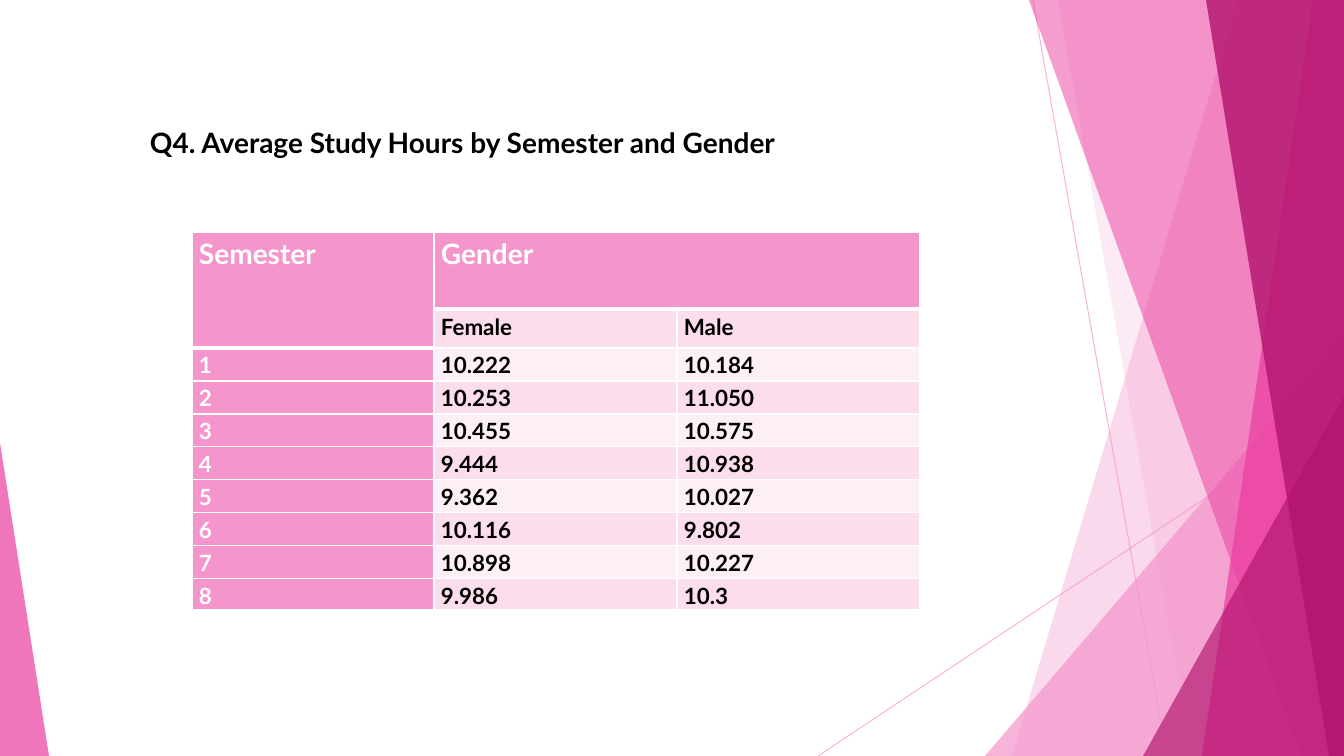
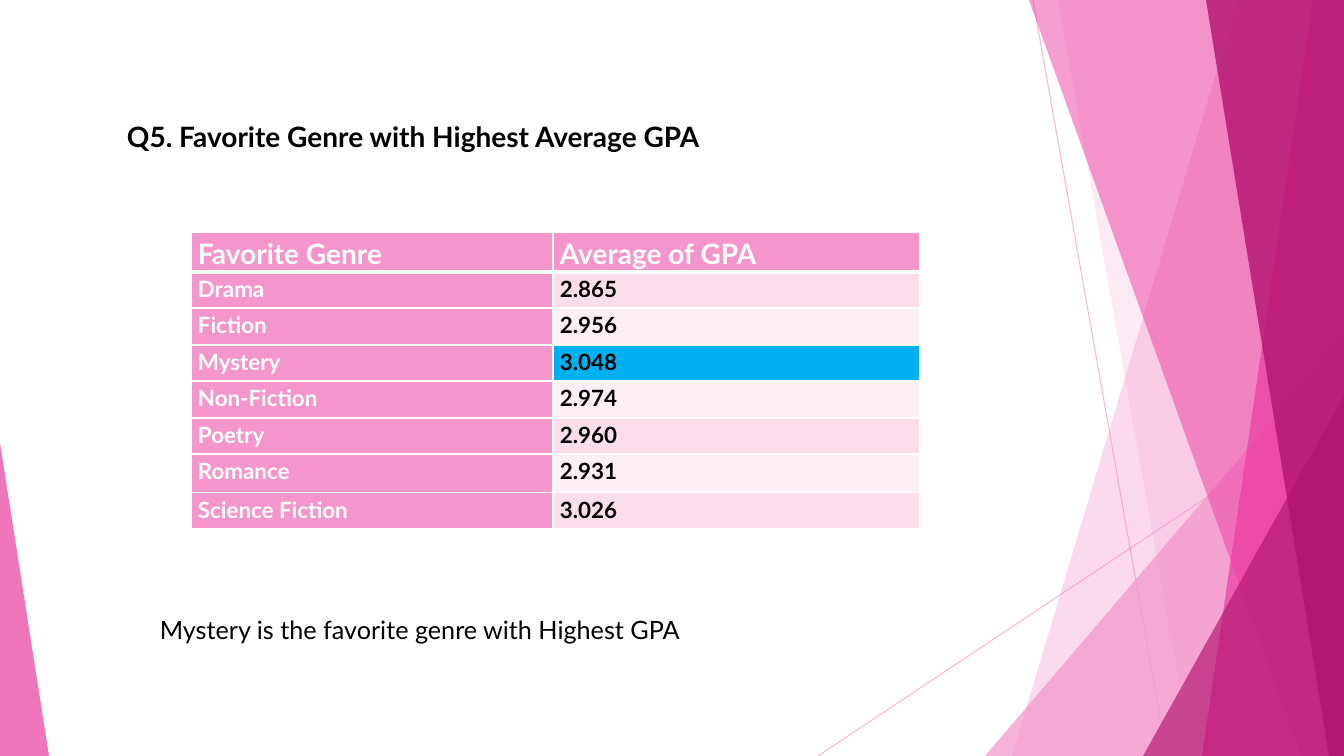
from lxml import etree
from pptx import Presentation, oxml, util as u
from pptx.dml.color import RGBColor
from pptx.enum import shapes, text
from pptx.oxml import ns

WIDTH, HEIGHT = 1344, 756
PX = u.Inches(40 / 3) / WIDTH
FONT = "Lato"
BLACK = RGBColor(0x00, 0x00, 0x00)
WHITE = RGBColor(0xFF, 0xFF, 0xFF)
PINK = RGBColor(0xF4, 0x96, 0xCB)
ROSE = RGBColor(0xEB, 0x3D, 0x9F)
MAGENTA = RGBColor(0xB2, 0x13, 0x6D)
BAND_DARK = RGBColor(0xFB, 0xDD, 0xEC)
BAND_LIGHT = RGBColor(0xFD, 0xEF, 0xF6)
BLUE = RGBColor(0x00, 0xB0, 0xF0)

RAYS = [((1033, 0), (1167, HEIGHT)), ((WIDTH, 406), (818, HEIGHT))]
FACETS = [
    ("band", (1238, 1012), PINK, 36),
    ("band", (1058, 1192), PINK, 20),
    ("triangle", (985, 336, 359, 420, 1), PINK, 72),
    ("band", (1029, 1301), ROSE, 50),
    ("band", (1313, 1202), ROSE, 70),
    ("band", (1206, 1329), MAGENTA, 80),
    ("triangle", (1143, 396, 201, 360, 1), MAGENTA, 66),
    ("triangle", (0, 443, 49, 313, 0), ROSE, 70),
]

SLIDES = [
    {
        "title": ("Q4. Average Study Hours by Semester and Gender", (140, 121, 767, 44)),
        "left": 192,
        "columns": [242, 243, 243],
        "heights": [77, 39] + [33] * 7 + [30],
        "rows": [
            ("Semester", "Gender", ""),
            ("", "Female", "Male"),
            ("1", "10.222", "10.184"),
            ("2", "10.253", "11.050"),
            ("3", "10.455", "10.575"),
            ("4", "9.444", "10.938"),
            ("5", "9.362", "10.027"),
            ("6", "10.116", "9.802"),
            ("7", "10.898", "10.227"),
            ("8", "9.986", "10.3"),
        ],
        "merges": [((0, 0), (1, 0)), ((0, 1), (0, 2))],
        "highlight": None,
        "note": None,
    },
    {
        "title": ("Q5. Favorite Genre with Highest Average GPA", (117, 115, 848, 44)),
        "left": 191,
        "columns": [362, 367],
        "heights": [40, 36, 37, 36, 37, 36, 39, 36],
        "rows": [
            ("Favorite Genre", "Average of GPA"),
            ("Drama", "2.865"),
            ("Fiction", "2.956"),
            ("Mystery", "3.048"),
            ("Non-Fiction", "2.974"),
            ("Poetry", "2.960"),
            ("Romance", "2.931"),
            ("Science Fiction", "3.026"),
        ],
        "merges": [],
        "highlight": (3, 1),
        "note": ("Mystery is the favorite genre with Highest GPA", (150, 609, 753, 40)),
    },
]


def write(frame, wording, size=20, color=BLACK, bold=True, spacing=1.0):
    paragraph = frame.paragraphs[0]
    paragraph.line_spacing = spacing
    run = paragraph.add_run()
    run.text = wording
    run.font.name = FONT
    run.font.size = u.Pt(size)
    run.font.bold = bold
    run.font.color.rgb = color


def set_opacity(shape, percent):
    for tint in shape.element.iter(ns.qn("a:srgbClr")):
        etree.SubElement(tint, ns.qn("a:alpha"), val=str(percent * 1000))


presentation = Presentation()
presentation.slide_width = round(WIDTH * PX)
presentation.slide_height = round(HEIGHT * PX)

for content in SLIDES:
    slide = presentation.slides.add_slide(presentation.slide_layouts[6])

    for start, end in RAYS:
        ray = slide.shapes.add_connector(
            shapes.MSO_CONNECTOR.STRAIGHT, *[round(value * PX) for value in start + end]
        )
        ray.line.color.rgb = PINK
        ray.line.width = u.Pt(0.75)
        etree.SubElement(ray.element.spPr, ns.qn("a:effectLst"))
        set_opacity(ray, 70)

    for kind, geometry, color, opacity in FACETS:
        if kind == "band":
            top_x, bottom_x = geometry
            builder = slide.shapes.build_freeform(top_x, 0, scale=PX)
            builder.add_line_segments([(WIDTH, 0), (WIDTH, HEIGHT), (bottom_x, HEIGHT)])
            facet = builder.convert_to_shape()
        else:
            *box, apex = geometry
            facet = slide.shapes.add_shape(
                shapes.MSO_SHAPE.ISOSCELES_TRIANGLE, *[round(value * PX) for value in box]
            )
            facet.adjustments[0] = apex
        facet.shadow.inherit = False
        facet.fill.solid()
        facet.fill.fore_color.rgb = color
        facet.line.fill.background()
        set_opacity(facet, opacity)

    for entry, size, bold in [(content["title"], 20, True), (content["note"], 18, False)]:
        if entry:
            wording, box = entry
            frame = slide.shapes.add_textbox(*[round(value * PX) for value in box]).text_frame
            frame.word_wrap = True
            frame.auto_size = text.MSO_AUTO_SIZE.SHAPE_TO_FIT_TEXT
            write(frame, wording, size=size, bold=bold)

    rows, columns, heights = content["rows"], content["columns"], content["heights"]
    box = (content["left"], 232, sum(columns), sum(heights))
    table = slide.shapes.add_table(
        len(rows), len(columns), *[round(value * PX) for value in box]
    ).table
    table.first_row = table.horz_banding = False
    for column, width in zip(table.columns, columns):
        column.width = round(width * PX)
    for row, height in zip(table.rows, heights):
        row.height = round(height * PX)
    for first, last in content["merges"]:
        table.cell(*first).merge(table.cell(*last))

    header_ends = [0] * len(columns)
    for first, last in content["merges"]:
        header_ends[first[1]] = last[0]

    for row_index, row in enumerate(rows):
        for column_index, wording in enumerate(row):
            cell = table.cell(row_index, column_index)
            header_end = header_ends[column_index]
            is_header = row_index <= header_end
            is_pink = is_header or column_index == 0
            if is_pink:
                fill = PINK
            elif (row_index, column_index) == content["highlight"]:
                fill = BLUE
            else:
                fill = BAND_DARK if row_index % 2 else BAND_LIGHT
            cell.fill.solid()
            cell.fill.fore_color.rgb = fill
            cell.margin_left = cell.margin_right = round(7 * PX)
            cell.margin_top = cell.margin_bottom = 0
            if wording:
                write(
                    cell.text_frame,
                    wording,
                    size=20 if is_header else 16,
                    color=WHITE if is_pink else BLACK,
                    spacing=1.15,
                )
            top = 3 if row_index == header_end + 1 else 1
            bottom = 3 if row_index == header_end else 1
            properties = cell._tc.get_or_add_tcPr()
            for position, (side, points) in enumerate(
                [("L", 1), ("R", 1), ("T", top), ("B", bottom)]
            ):
                border = oxml.parse_xml(
                    f'<a:ln{side} {ns.nsdecls("a")} w="{u.Pt(points)}"><a:solidFill>'
                    f'<a:srgbClr val="{WHITE}"/></a:solidFill></a:ln{side}>'
                )
                properties.insert(position, border)

presentation.save("out.pptx")
